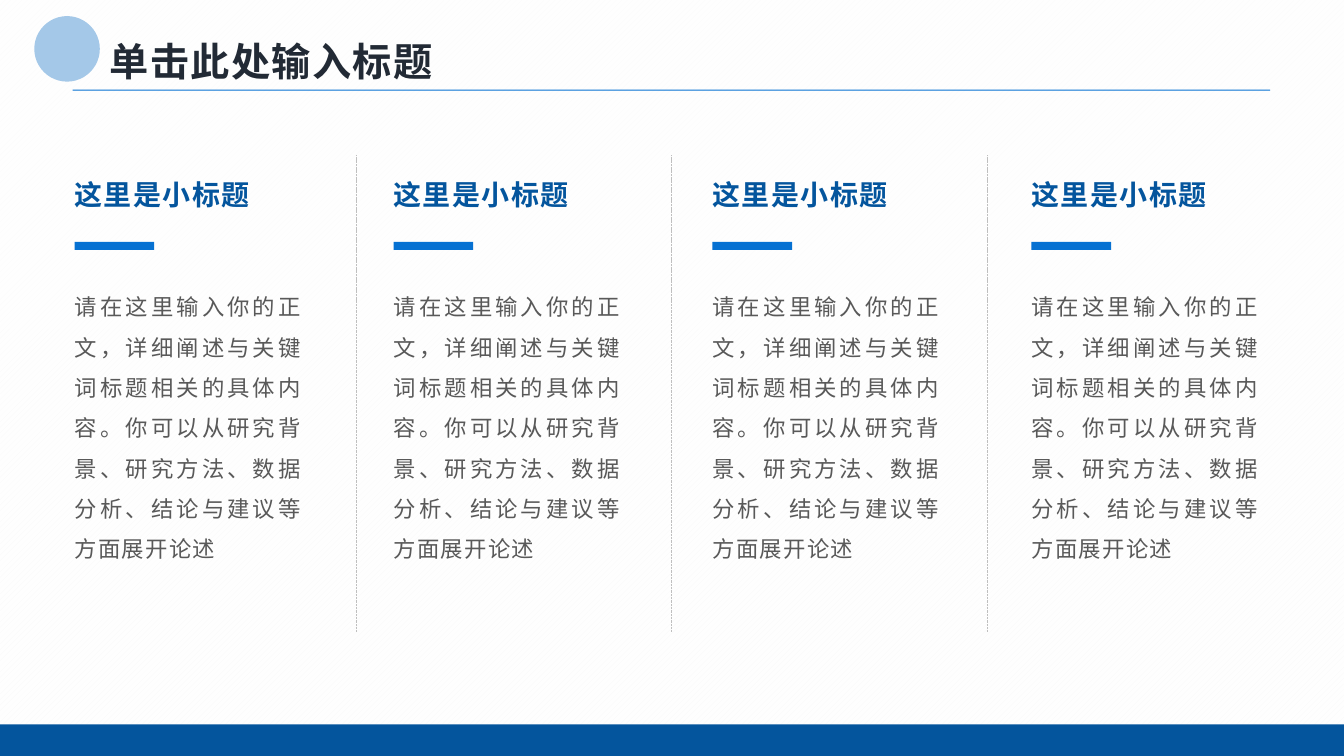
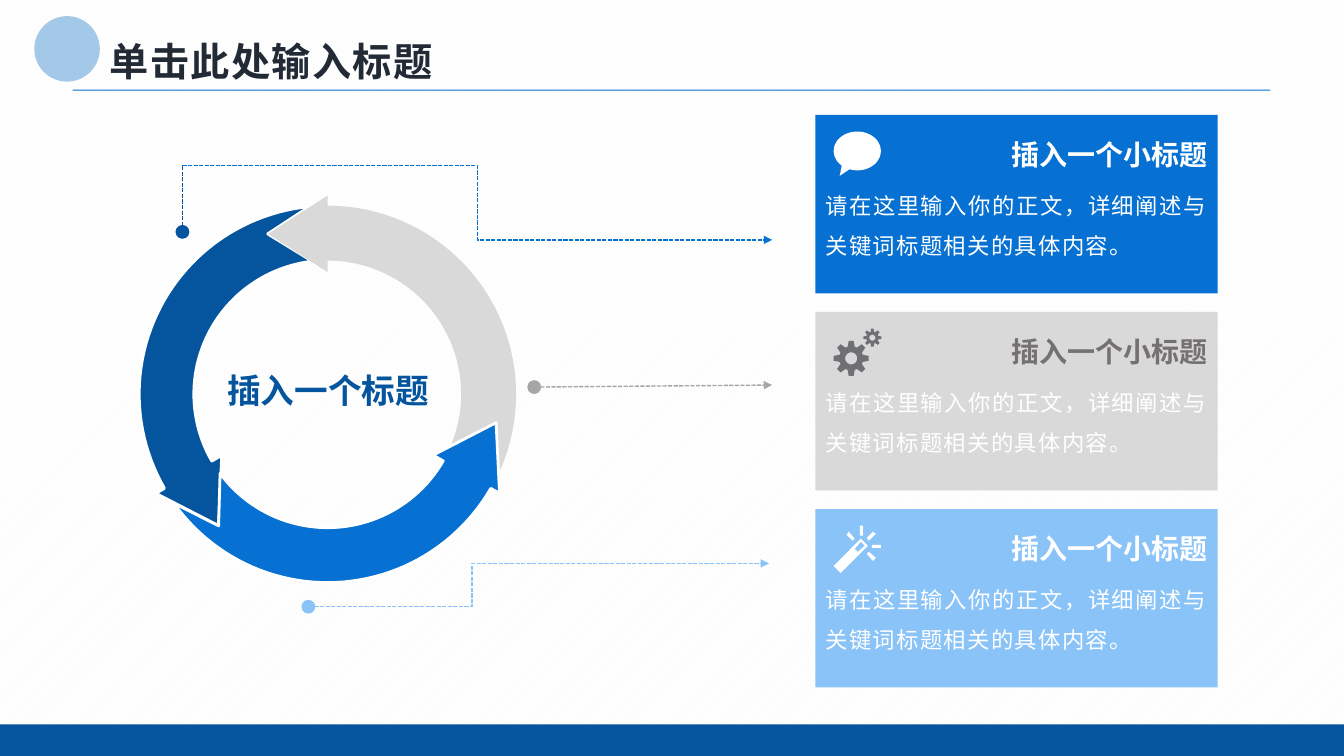
from dataclasses import dataclass
from math import cos, radians, sin

from lxml import etree
from pptx import Presentation
from pptx.dml.color import RGBColor
from pptx.enum.dml import MSO_LINE, MSO_PATTERN
from pptx.enum.shapes import MSO_CONNECTOR, MSO_SHAPE
from pptx.enum.text import MSO_ANCHOR, PP_ALIGN
from pptx.oxml.ns import qn
from pptx.util import Emu, Pt

COLS, ROWS, CELL = 160, 90, 76200
RECT, OVAL, TALK = MSO_SHAPE.RECTANGLE, MSO_SHAPE.OVAL, MSO_SHAPE.OVAL_CALLOUT
LINE, BENT = MSO_CONNECTOR.STRAIGHT, MSO_CONNECTOR.ELBOW
TOP, MID, LOW = MSO_ANCHOR.TOP, MSO_ANCHOR.MIDDLE, MSO_ANCHOR.BOTTOM
LEFT, RIGHT = PP_ALIGN.LEFT, PP_ALIGN.RIGHT
CENTER, FULL = PP_ALIGN.CENTER, PP_ALIGN.JUSTIFY
DASH = MSO_LINE.SQUARE_DOT
STRIPE = MSO_PATTERN.WIDE_UPWARD_DIAGONAL


@dataclass(frozen=True)
class Theme:
    navy: str = "04559D"
    blue: str = "0671D2"
    sky: str = "8AC3F7"
    pale: str = "A4C8E8"
    white: str = "FFFFFF"
    haze: str = "F2F2F2"
    light: str = "D9D9D9"
    rule: str = "BFBFBF"
    gray: str = "A6A6A6"
    stone: str = "767171"
    iron: str = "6E7073"
    text: str = "595959"
    ink: str = "222A35"
    latin: str = "Arial"
    asian: str = "Noto Sans CJK SC"
    title: float = 28
    hub: float = 24
    head: float = 20
    body: float = 16
    lead: float = 28.8


T = Theme()


@dataclass(frozen=True)
class Box:
    x: float
    y: float
    w: float
    h: float

    def sub(self, x, y, w, h):
        return Box(self.x + x, self.y + y, w, h)

    def emu(self):
        return [cells(v) for v in (self.x, self.y, self.w, self.h)]


PAGE = Box(0, 0, COLS, ROWS)


def cells(n):
    return Emu(round(n * CELL))


def rgb(code):
    return RGBColor.from_string(code)


def put(thing, **vals):
    for name, val in vals.items():
        setattr(thing, name, val)


def put_xml(node, **vals):
    for name, val in vals.items():
        node.set(name, val)


def paint(shape, fill, edge=None, width=0):
    shape.shadow.inherit = False
    shape.fill.solid()
    shape.fill.fore_color.rgb = rgb(fill)
    if edge:
        shape.line.color.rgb = rgb(edge)
        shape.line.width = Pt(width)
    else:
        shape.line.fill.background()
    return shape


def block(slide, box, fill, kind=RECT):
    return paint(slide.shapes.add_shape(kind, *box.emu()), fill)


def fill_text(shape, text, size, color, bold=False, align=LEFT, anchor=TOP,
              lead=None, space=0, font=T.latin, wrap=True, **inset):
    frame = shape.text_frame
    put(frame, word_wrap=wrap, vertical_anchor=anchor,
        **{"margin_" + side: cells(n) for side, n in inset.items()})
    para = frame.paragraphs[0]
    put(para, alignment=align, line_spacing=Pt(lead or size * 1.2))
    run = para.add_run()
    run.text = text
    put(run.font, size=Pt(size), bold=bold, name=font)
    run.font.color.rgb = rgb(color)
    props = run.font._element
    etree.SubElement(props, qn("a:ea")).set("typeface", T.asian)
    if space:
        props.set("spc", str(space * 100))


def label(slide, box, *args, **look):
    fill_text(slide.shapes.add_textbox(*box.emu()), *args, **look)


def wire(slide, start, end, color, width=1, kind=LINE, dot=False, tip=False,
         bend=None):
    link = slide.shapes.add_connector(
        kind, *[cells(n) for n in (*start, *end)])
    link.line.color.rgb = rgb(color)
    put(link.line, width=Pt(width), dash_style=DASH)
    props = link._element.spPr
    edge = props.find(qn("a:ln"))
    ends = (("a:headEnd", dot, "oval", "lg"),
            ("a:tailEnd", tip, "triangle", "med"))
    for tag, used, form, size in ends:
        if used:
            mark = etree.SubElement(edge, qn(tag))
            put_xml(mark, type=form, w=size, len=size)
    etree.SubElement(props, qn("a:effectLst"))
    if bend:
        guides = props.find(qn("a:prstGeom")).find(qn("a:avLst"))
        put_xml(etree.SubElement(guides, qn("a:gd")),
                name="adj1", fmla=f"val {bend}")


def trace(slide, box, loops, fill, grid, edge=None, width=0):
    def spot(x, y):
        return (cells(box.x + x * box.w / grid),
                cells(box.y + y * box.h / grid))

    pen = None
    for loop in loops:
        first, *rest = [spot(*point) for point in loop]
        if pen is None:
            pen = slide.shapes.build_freeform(*first, scale=1.0)
        else:
            pen.move_to(*first)
        pen.add_line_segments(rest, close=True)
    return paint(pen.convert_to_shape(), fill, edge, width)


def polar(hub, reach, turn):
    angle = radians(turn)
    return hub[0] + reach * cos(angle), hub[1] + reach * sin(angle)


def arc(hub, reach, start, end, steps=48):
    return [polar(hub, reach, start + (end - start) * i / steps)
            for i in range(steps + 1)]


def gear(hub, tip, root, hole):
    teeth = [polar(hub, reach, 45 * i + turn) for i in range(8)
             for reach, turn in ((root, -17), (tip, -8), (tip, 8), (root, 17))]
    return [teeth, arc(hub, hole, 360, 0)]


def talk(slide, box, fill):
    shape = block(slide, box.sub(0, 0, box.w, box.h * 0.82), fill, TALK)
    shape.adjustments[0] = -0.37
    shape.adjustments[1] = 0.64


def gears(slide, box, fill):
    loops = gear((17.5, 29.5), 17.5, 12, 6) + gear((38.5, 9), 9, 6, 3)
    trace(slide, box, loops, fill, 47)


WAND = [
    [(35, 26), (42, 32), (39, 35), (33, 28)],
    [(38, 19), (47, 19), (47, 22), (38, 22)],
    [(27, 16), (21, 23), (24, 26), (31, 20)],
    [(27, 13), (34, 20), (7, 47), (0, 40)],
    [(15, 6), (21, 13), (19, 15), (13, 9)],
    [(39, 6), (42, 8), (35, 15), (33, 12)],
    [(26, 0), (29, 0), (29, 10), (26, 10)],
]


def wand(slide, box, fill):
    trace(slide, box, WAND, fill, 47)


def veil(slide, box):
    shape = block(slide, box, T.white)
    shape.fill.gradient()
    shape.fill.gradient_angle = 270
    for stop, place, alpha in zip(shape.fill.gradient_stops, (0, 1), (80, 50)):
        stop.color.rgb = rgb(T.white)
        stop.position = place
        tone = stop._gs.find(qn("a:srgbClr"))
        etree.SubElement(tone, qn("a:alpha")).set("val", str(alpha * 1000))


def base(deck, title):
    slide = deck.slides.add_slide(deck.slide_layouts[6])
    veil(slide, PAGE)
    block(slide, PAGE.sub(4.08, 1.92, 7.8, 7.8), T.pale, OVAL)
    label(slide, PAGE.sub(11.88, 3.24, 95.52, 6.84), title, T.title, T.ink,
          bold=True, anchor=LOW, space=1, font=T.asian, bottom=0)
    block(slide, PAGE.sub(8.64, 10.68, 142.56, 0.12), T.blue)
    block(slide, PAGE.sub(0, 86.25, COLS, 3.75), T.navy)
    return slide


def column(slide, box, head, body):
    label(slide, box.sub(0, 0, 22.44, 5.28), head, T.head, T.navy,
          bold=True, space=1, wrap=False, left=0)
    block(slide, box.sub(0, 8.28, 9.48, 0.96), T.blue)
    label(slide, box.sub(0, 12.24, box.w, 44.4), body, T.body, T.text,
          align=FULL, lead=T.lead, space=1, left=0)


def columns(slide, box, head, body):
    for i in range(4):
        column(slide, box.sub(37.97 * i, 2.04, 28.32, box.h), head, body)
    for i in range(3):
        x = box.x + 33.48 + 37.56 * i
        wire(slide, (x, box.y), (x, box.y + box.h), T.rule, 0.25)


def ring(slide, box, text):
    hub = (box.w / 2, box.h / 2)
    for turn, fill, width in ((-120, T.navy, 2.25), (0, T.light, 0),
                              (120, T.blue, 2)):
        loop = [polar(hub, 20.35, turn - 110.4),
                polar(hub, 23.64, turn - 90),
                *arc(hub, 22.44, turn - 90, turn + 24.6),
                polar(hub, 20.35, turn + 9.6),
                *arc(hub, 15.9, turn + 23.6, turn - 90),
                polar(hub, 14.52, turn - 90)]
        trace(slide, box, [loop], fill, box.w, T.white if width else None,
              width)
    label(slide, box.sub(5.5, 11.8, 34, 20.4), text, T.hub, T.navy,
          bold=True, align=CENTER, anchor=MID)


def wires(slide):
    wire(slide, (21.72, 27.6), (21.72, 19.68), T.navy, dot=True)
    wire(slide, (21.72, 19.68), (91.92, 28.56), T.blue, kind=BENT, tip=True)
    wire(slide, (63.6, 46.08), (91.92, 45.84), T.gray, dot=True, tip=True)
    wire(slide, (36.72, 72.24), (91.56, 67.08), T.sky, kind=BENT, dot=True,
         tip=True, bend=35500)


def card(slide, box, head, body, fill, tone, icon, mark):
    fill_text(block(slide, box, fill), body, T.body, T.white, align=FULL,
              lead=T.lead, space=1, top=7.56)
    icon(slide, box.sub(2.16, 1.98, 5.64, 5.64), mark)
    label(slide, box.sub(14.52, 0, 33.36, 7.32), head, T.head, tone,
          bold=True, align=RIGHT, anchor=LOW, font=T.asian)


def cards(slide, box, head, body):
    looks = ((T.blue, T.white, talk, T.white),
             (T.light, T.stone, gears, T.iron),
             (T.sky, T.white, wand, T.white))
    for i, look in enumerate(looks):
        card(slide, box.sub(0, 23.46 * i, box.w, 21.24), head, body, *look)


def main():
    deck = Presentation()
    put(deck, slide_width=cells(COLS), slide_height=cells(ROWS))
    back = deck.slide_master.background.fill
    back.patterned()
    back.pattern = STRIPE
    back.fore_color.rgb = rgb(T.haze)
    back.back_color.rgb = rgb(T.white)

    title = "单击此处输入标题"
    intro = "请在这里输入你的正文，详细阐述与关键词标题相关的具体内容。"
    more = "你可以从研究背景、研究方法、数据分析、结论与建议等方面展开论述"
    columns(base(deck, title), PAGE.sub(8.88, 18.48, 142.2, 56.64),
            "这里是小标题", intro + more)
    slide = base(deck, title)
    ring(slide, PAGE.sub(16.56, 24.48, 44.88, 44.88), "插入一个标题")
    wires(slide)
    cards(slide, PAGE.sub(97.08, 13.68, 47.88, 68.16),
          "插入一个小标题", intro)
    deck.save("out.pptx")


if __name__ == "__main__":
    main()
